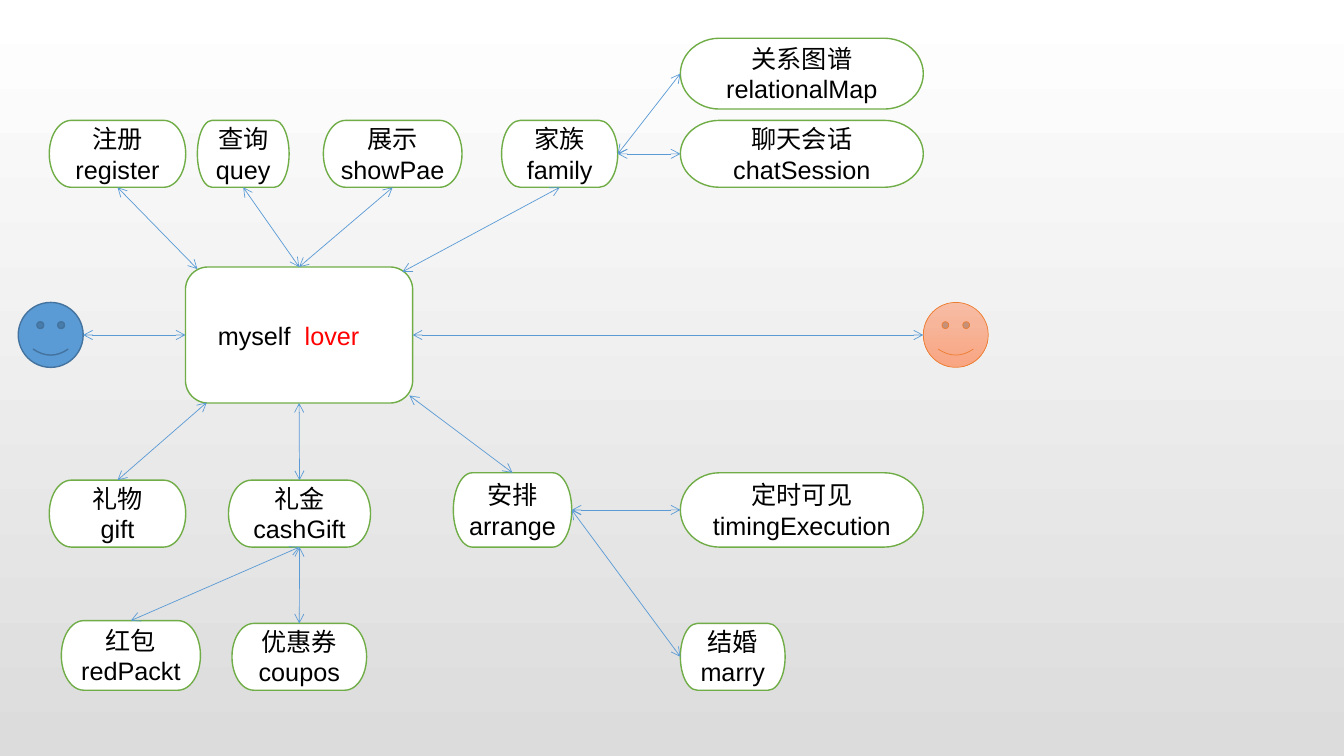
from lxml.etree import SubElement
from pptx import Presentation
from pptx.dml.color import RGBColor
from pptx.enum.shapes import MSO_CONNECTOR, MSO_SHAPE
from pptx.enum.text import MSO_ANCHOR, PP_ALIGN
from pptx.oxml.ns import qn
from pptx.util import Pt

COLORS = {
    "white": "FFFFFF", "backdrop": "DCDCDC", "border": "70AD47",
    "arrow": "5B9BD5", "myself": "5B9BD5", "myself_line": "43739E",
    "lover_top": "F7BDA5", "lover_bottom": "F8A582", "lover_line": "ED7D31",
    "text": "000000", "red": "FF0000",
}
TOP, LEFT, BOTTOM, RIGHT = range(4)  # connection sites of a node


def add_node(preset, frame, fill, line, width):
    """Add a preset shape at frame (left, top, width, height) in points."""
    shape = page.shapes.add_shape(preset, *[Pt(value) for value in frame])
    shape.shadow.inherit = False
    if isinstance(fill, tuple):
        shape.fill.gradient()
        shape.fill.gradient_angle = 270
        for stop, name in zip(shape.fill.gradient_stops, fill):
            stop.color.rgb = RGBColor.from_string(COLORS[name])
    else:
        shape.fill.solid()
        shape.fill.fore_color.rgb = RGBColor.from_string(COLORS[fill])
    shape.line.color.rgb = RGBColor.from_string(COLORS[line])
    shape.line.width = Pt(width)
    return shape


def style_text(shape):
    """Centre the text of a node and set its font."""
    frame = shape.text_frame
    frame.word_wrap = False
    frame.vertical_anchor = MSO_ANCHOR.MIDDLE
    frame.margin_left = frame.margin_right = 0
    frame.margin_top = frame.margin_bottom = 0
    for para in frame.paragraphs:
        para.alignment = PP_ALIGN.CENTER
        for span in para.runs:
            span.font.name = "Arial"
            span.font.size = Pt(18)
            span.font.color.rgb = RGBColor.from_string(COLORS["text"])


deck = Presentation()
deck.slide_width, deck.slide_height = Pt(960), Pt(540)
page = deck.slides.add_slide(deck.slide_layouts[6])

backdrop = page.background.fill
backdrop.gradient()
backdrop.gradient_angle = 270
for stop, name in zip(backdrop.gradient_stops, ("white", "backdrop")):
    stop.color.rgb = RGBColor.from_string(COLORS[name])

# The couple's centre, with one person on each side
couple = add_node(MSO_SHAPE.FLOWCHART_ALTERNATE_PROCESS,
                  (132.5, 190.7, 162.3, 97.2), "white", "border", 1)
couple_line = couple.text_frame.paragraphs[0]
for word in ("myself", " ", "lover"):
    couple_line.add_run().text = word
style_text(couple)
myself_word, gap, lover_word = couple_line.runs
gap.font._element.set("spc", "500")
lover_word.font.color.rgb = RGBColor.from_string(COLORS["red"])
couple.text_frame.margin_right = Pt(15)

add_node(MSO_SHAPE.SMILEY_FACE, (13, 216, 46.4, 46.4),
         "myself", "myself_line", 1)
add_node(MSO_SHAPE.SMILEY_FACE, (659.5, 216, 46.4, 46.4),
         ("lover_top", "lover_bottom"), "lover_line", 0.5)

# Features: Chinese name, English name, left, top, width, height
features = [
    ("注册", "register", 35.2, 86, 97.5, 47.8),
    ("查询", "quey", 141, 86, 65.5, 47.8),
    ("展示", "showPae", 231, 86, 99, 47.8),
    ("家族", "family", 358.3, 86, 83, 47.8),
    ("关系图谱", "relationalMap", 486, 27.3, 173.5, 50.6),
    ("聊天会话", "chatSession", 486, 86, 173.5, 47.8),
    ("礼物", "gift", 35.2, 343, 97.5, 47.8),
    ("礼金", "cashGift", 163.2, 343, 101.5, 47.8),
    ("安排", "arrange", 323.8, 337.7, 84.6, 53.1),
    ("定时可见", "timingExecution", 486, 337.7, 173.5, 53.1),
    ("红包", "redPackt", 43.8, 443.3, 99.4, 49.7),
    ("优惠券", "coupos", 165.7, 445.3, 96.2, 47.7),
    ("结婚", "marry", 486, 445.3, 74.8, 47.7),
]
nodes = {"couple": couple}
for chinese, english, *frame in features:
    box = add_node(MSO_SHAPE.FLOWCHART_TERMINATOR, frame,
                   "white", "border", 1)
    box.text_frame.text = f"{chinese}\n{english}"
    style_text(box)
    nodes[english] = box

# Each end is (node name, site) or a point (x, y)
links = [
    (("register", BOTTOM), (141, 192.2)),
    (("quey", BOTTOM), ("couple", TOP)),
    (("showPae", BOTTOM), ("couple", TOP)),
    (("family", BOTTOM), (287.5, 194.2)),
    (("relationalMap", LEFT), ("family", RIGHT)),
    (("chatSession", LEFT), ("family", RIGHT)),
    (("couple", LEFT), (59.4, 239.3)),
    ((659.5, 239.3), ("couple", RIGHT)),
    ((147.7, 287.5), ("gift", TOP)),
    (("couple", BOTTOM), ("cashGift", TOP)),
    ((292.4, 282.5), ("arrange", TOP)),
    (("cashGift", BOTTOM), ("redPackt", TOP)),
    (("cashGift", BOTTOM), ("coupos", TOP)),
    (("arrange", RIGHT), ("timingExecution", LEFT)),
    (("arrange", RIGHT), ("marry", LEFT)),
]
for start, end in links:
    points = [(0, 0) if isinstance(place[0], str) else place
              for place in (start, end)]
    arrow = page.shapes.add_connector(
        MSO_CONNECTOR.STRAIGHT,
        *[Pt(value) for point in points for value in point])
    for place, connect in ((start, arrow.begin_connect),
                           (end, arrow.end_connect)):
        if isinstance(place[0], str):
            connect(nodes[place[0]], place[1])
    arrow.line.color.rgb = RGBColor.from_string(COLORS["arrow"])
    arrow.line.width = Pt(0.5)
    outline = arrow.line._get_or_add_ln()
    for tag in ("a:headEnd", "a:tailEnd"):
        SubElement(outline, qn(tag), type="arrow")
    SubElement(arrow._element.spPr, qn("a:effectLst"))

deck.save("out.pptx")
